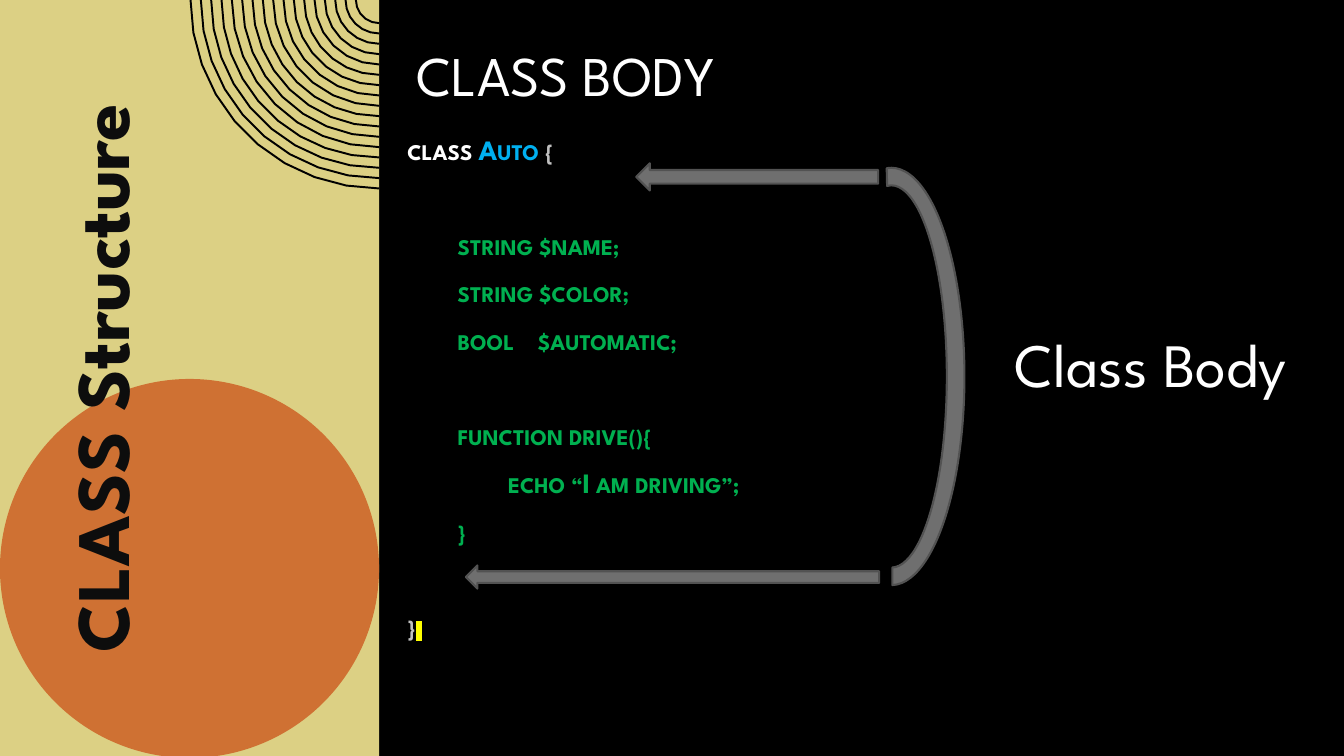
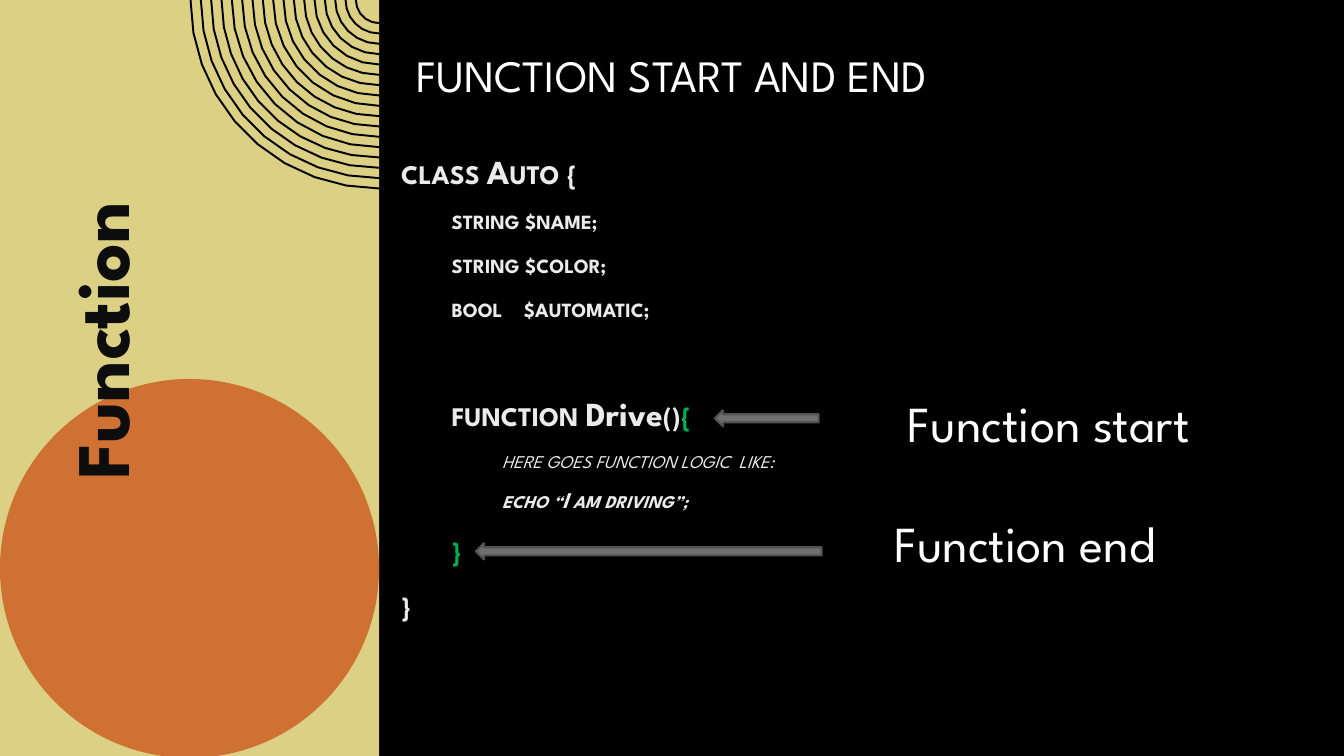
"""Build two slides that explain the structure of a class and a function."""
from math import cos, pi, sin

from lxml import etree
from pptx import Presentation
from pptx.dml.color import RGBColor
from pptx.enum.shapes import MSO_SHAPE
from pptx.enum.text import MSO_ANCHOR, MSO_AUTO_SIZE, PP_ALIGN
from pptx.oxml.ns import qn
from pptx.util import Inches, Pt

RECTANGLE, OVAL = MSO_SHAPE.RECTANGLE, MSO_SHAPE.OVAL
LEFT_ARROW, BLOCK_ARC = MSO_SHAPE.LEFT_ARROW, MSO_SHAPE.BLOCK_ARC
TOP, MIDDLE = MSO_ANCHOR.TOP, MSO_ANCHOR.MIDDLE
LEFT, CENTER, JUSTIFY = PP_ALIGN.LEFT, PP_ALIGN.CENTER, PP_ALIGN.JUSTIFY
NO_AUTOFIT = MSO_AUTO_SIZE.NONE

FONT = "League Spartan"
BLACK, WHITE, INK = "000000", "FFFFFF", "0D0D0D"
SAND, ORANGE, OUTLINE = "DCD084", "CF7133", "BFBFA5"
GRAY, DARK_GRAY = "6F6F6F", "525252"
GREEN, BLUE, SILVER, PALE = "00B050", "00B0F0", "BFBFBF", "EBEBEB"
SLATE, YELLOW = "363D46", "FFFF00"
PANEL_WIDTH = 3.76
TAB = 0.5


def rgb(value):
    """Turn a hex string into a colour."""
    return RGBColor.from_string(value)


def apply(target, values):
    """Set each named attribute on the target."""
    for name, value in values.items():
        setattr(target, name, value)


def solid(tag, colour):
    """Make an element of the drawing namespace that holds a colour."""
    element = etree.Element(qn(tag))
    etree.SubElement(element, qn("a:srgbClr")).set("val", colour)
    return element


class Deck:
    """Hold the presentation, its style and the current slide."""

    def __init__(self):
        """Start an empty widescreen presentation."""
        self.deck = Presentation()
        apply(self.deck, {"slide_width": Inches(13.33),
                          "slide_height": Inches(7.5)})
        self.slide = None

    def start(self, title, size):
        """Add a slide with its background, side panel and title."""
        self.slide = self.deck.slides.add_slide(self.deck.slide_layouts[5])
        background = self.slide.background.fill
        background.solid()
        background.fore_color.rgb = rgb(BLACK)
        self.panel()
        heading = self.slide.shapes.title
        apply(heading, {"left": Inches(4.03), "top": Inches(0.32),
                        "width": Inches(8.93), "height": Inches(0.84)})
        self.frame(heading, MIDDLE)
        paragraph = heading.text_frame.paragraphs[0]
        paragraph.alignment = LEFT
        self.run(paragraph, title, size, WHITE)

    def panel(self):
        """Draw the side band with its rings and disc."""
        self.shape(RECTANGLE, 0, 0, PANEL_WIDTH, 7.5, SAND)
        self.rings()
        self.shape(OVAL, 0, PANEL_WIDTH, PANEL_WIDTH, PANEL_WIDTH, ORANGE)

    def rings(self, count=17, outer=1.87, inner=0.23):
        """Draw concentric quarter rings at the top corner of the band."""
        builder = None
        for index in range(count):
            radius = outer - index * (outer - inner) / (count - 1)
            parts = 9 - index // 4
            angles = [pi / 2 * part / parts for part in range(parts + 1)]
            points = [(Inches(PANEL_WIDTH - radius * cos(angle)),
                       Inches(radius * sin(angle))) for angle in angles]
            if builder is None:
                builder = self.slide.shapes.build_freeform(*points[0])
            else:
                builder.move_to(*points[0])
            builder.add_line_segments(points[1:], close=False)
        rings = builder.convert_to_shape()
        rings.shadow.inherit = False
        rings.fill.background()
        rings.line.color.rgb = rgb(BLACK)
        rings.line.width = Pt(1.4)

    def shape(self, kind, left, top, width, height, fill, line=None):
        """Add a preset shape with a flat fill and an optional outline."""
        shape = self.slide.shapes.add_shape(
            kind, *map(Inches, (left, top, width, height)))
        shape.shadow.inherit = False
        shape.fill.solid()
        shape.fill.fore_color.rgb = rgb(fill)
        if line:
            shape.line.color.rgb = rgb(line)
            shape.line.width = Pt(1.5)
        else:
            shape.line.fill.background()
        return shape

    def arrow(self, left, top, width, height):
        """Add a gray arrow that points left."""
        self.shape(LEFT_ARROW, left, top, width, height, GRAY, DARK_GRAY)

    def bracket(self, left, top, width, height):
        """Add a half ring that opens to the left."""
        arc = self.shape(BLOCK_ARC, left, top, width, height, GRAY, DARK_GRAY)
        arc.rotation = 90
        for index, value in enumerate((107.24, 215.82, 0.12)):
            arc.adjustments[index] = value

    def frame(self, shape, anchor, inset=0.1):
        """Set the wrapping, anchor and insets of a text frame."""
        apply(shape.text_frame, {
            "word_wrap": True, "auto_size": NO_AUTOFIT,
            "vertical_anchor": anchor,
            "margin_left": Inches(inset), "margin_right": Inches(inset),
            "margin_top": Inches(0.05), "margin_bottom": Inches(0.05)})

    def run(self, paragraph, text, size, colour, cap=None, highlight=None,
            outline=None, **style):
        """Add a run of text in the deck font."""
        run = paragraph.add_run()
        run.text = text
        run.font.color.rgb = rgb(colour)
        properties = run._r.get_or_add_rPr()
        if cap:
            properties.set("cap", cap)
        if highlight:
            properties.append(solid("a:highlight", highlight))
        if outline:
            line = etree.Element(qn("a:ln"), w=str(Pt(1.75)))
            line.append(solid("a:solidFill", outline))
            properties.insert(0, line)
        apply(run.font, {"name": FONT, "size": Pt(size), **style})

    def label(self, text, left, top, width, height, size, colour=WHITE, **style):
        """Add a centred line of text."""
        box = self.slide.shapes.add_textbox(
            *map(Inches, (left, top, width, height)))
        self.frame(box, TOP)
        paragraph = box.text_frame.paragraphs[0]
        paragraph.alignment = CENTER
        self.run(paragraph, text, size, colour, **style)
        return box

    def side_label(self, text, middle, length):
        """Add the large upright text on the side band."""
        height = 1.01
        box = self.label(text, 0.99 - length / 2, middle - height / 2, length,
                         height, 54, INK, bold=True, outline=OUTLINE)
        box.rotation = 270

    def code(self, left, lines):
        """Add a code listing of (tabs, size, skipped size, runs) lines."""
        box = self.slide.shapes.add_textbox(
            *map(Inches, (left, 1.16, 8.93, 5.36)))
        self.frame(box, MIDDLE, 0.05)
        text = box.text_frame
        for index, (tabs, size, skipped, runs) in enumerate(lines):
            paragraph = text.add_paragraph() if index else text.paragraphs[0]
            blank = 1.4 * skipped + 6 if skipped else 0
            before = 0.2 * size + blank if index else 0
            apply(paragraph, {"alignment": JUSTIFY, "space_after": Pt(6),
                              "space_before": Pt(before)})
            properties = paragraph._p.get_or_add_pPr()
            properties.set("marL", str(Inches(TAB * tabs)))
            for words, colour, style in runs:
                self.run(paragraph, words, size, colour,
                         **{"cap": "small", "bold": True, **style})


def class_body(deck):
    """Build the slide on the body of a class."""
    deck.start("CLASS BODY", 40)

    def green(tabs, words, skipped=0):
        return tabs, 20, skipped, [(words, GREEN, {})]

    deck.code(3.99, [
        (0, 20, 0, [("class ", WHITE, {}), ("Auto ", BLUE, {}),
                    ("{", SILVER, {})]),
        green(1, "string $name;", 20),
        green(1, "string $color;"),
        green(1, "bool    $automatic;"),
        green(1, "function drive(){", 20),
        green(2, "echo “I am driving”;"),
        green(1, "}"),
        (0, 20, 20, [("}", SILVER, {}), (" ", SLATE, {"highlight": YELLOW})]),
    ])
    deck.bracket(6.77, 3.01, 4.14, 1.45)
    deck.label("Class Body", 9.71, 3.18, 3.41, 0.84, 44)
    deck.arrow(4.62, 5.61, 4.1, 0.23)
    deck.arrow(6.31, 1.62, 2.4, 0.27)
    deck.side_label("CLASS Structure", 3.75, 7.5)


def function_limits(deck):
    """Build the slide on where a function starts and ends."""
    deck.start("FUNCTION START AND END", 32)

    def pale(tabs, size, words, **style):
        return tabs, size, 0, [(words, PALE, style)]

    deck.code(3.93, [
        pale(0, 24, "class Auto {"),
        pale(1, 18, "string $name;"),
        pale(1, 18, "string $color;"),
        pale(1, 18, "bool    $automatic;"),
        (1, 24, 24, [("function ", PALE, {}), ("Drive", PALE, {"cap": "none"}),
                     ("()", PALE, {}), ("{", GREEN, {})]),
        pale(2, 16, "here goes function logic  like:", bold=False, italic=True),
        pale(2, 16, "echo “I am driving”;", italic=True),
        (1, 24, 0, [("}", GREEN, {})]),
        pale(0, 24, "}"),
    ])
    for words, left, top in (("Function start", 8.49, 3.84),
                             ("Function end", 8.25, 5.03)):
        deck.label(words, left, top, 3.83, 0.71, 36)
    deck.arrow(7.09, 4.07, 1.03, 0.16)
    deck.arrow(4.72, 5.39, 3.43, 0.16)
    deck.side_label("Function", 3.38, 3.52)


def main():
    """Build and save the presentation."""
    deck = Deck()
    class_body(deck)
    function_limits(deck)
    deck.deck.save("out.pptx")


if __name__ == "__main__":
    main()
